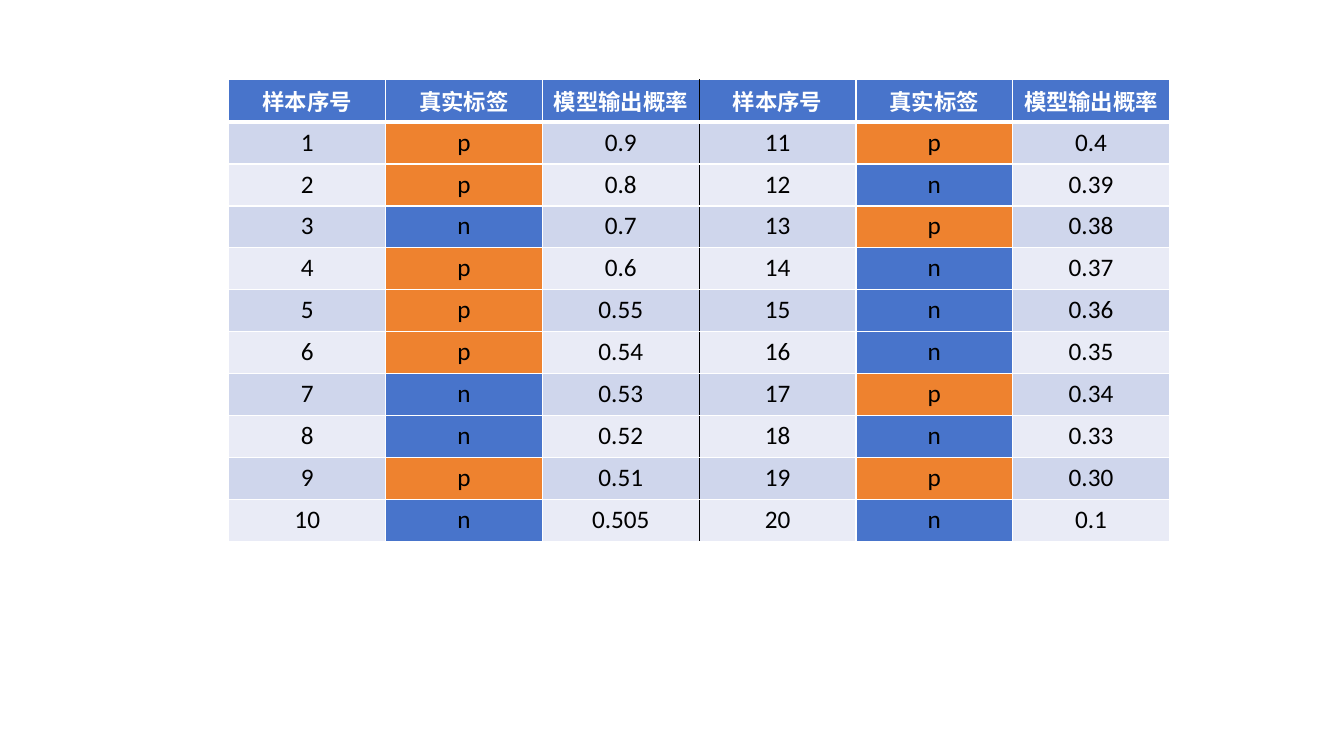
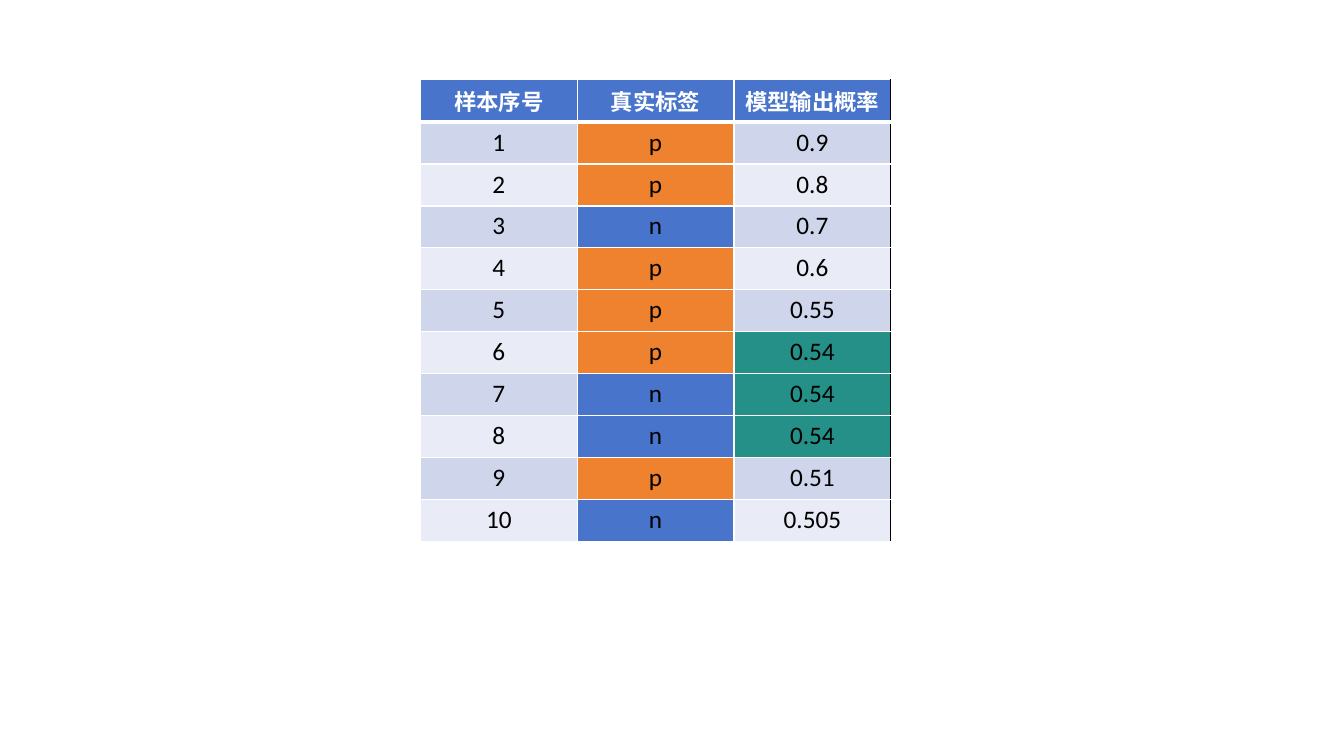
from lxml.etree import SubElement
from pptx import Presentation
from pptx.dml.color import RGBColor as RGB
from pptx.enum.text import MSO_ANCHOR as Anchor, PP_ALIGN as Align
from pptx.oxml.ns import qn
from pptx.util import Inches, Pt

COLORS = {
    "header": "4874CB", "odd": "CFD6EC", "even": "E9EBF6",
    "p": "EE822F", "n": "4874CB", "tie": "249087",
    "white": "FFFFFF", "black": "000000",
}
HEADINGS = ["样本序号", "真实标签", "模型输出概率"]
HEADER_FONT = {"name": "Calibri", "size": Pt(16), "bold": True}
BODY_FONT = {"name": "Calibri", "size": Pt(18), "bold": False}

# Shared grid
TOP = Inches(0.79)
COLUMN_WIDTH = Inches(9.33 / 6)
ROW_HEIGHT = Inches(4.58 / 11)

# Each group of three columns: first sample number, labels, probabilities
FIRST_TEN = (1, "ppnpppnnpn", "0.9 0.8 0.7 0.6 0.55 0.54 0.53 0.52 0.51 0.505")
LAST_TEN = (11, "pnpnnnpnpn", "0.4 0.39 0.38 0.37 0.36 0.35 0.34 0.33 0.30 0.1")
TIED_TEN = (1, "ppnpppnnpn", "0.9 0.8 0.7 0.6 0.55 0.54 0.54 0.54 0.51 0.505")

# Slides: left edge, groups, sample numbers with equal probability
SLIDES = [
    (2.27, [FIRST_TEN, LAST_TEN], []),
    (4.17, [TIED_TEN], ["6", "7", "8"]),
]


def draw_borders(cell, borders):
    properties = cell._tc.get_or_add_tcPr()
    for position, (side, (color, width)) in enumerate(borders.items()):
        line = SubElement(properties, qn(f"a:ln{side}"), w=str(Pt(width)))
        fill = SubElement(line, qn("a:solidFill"))
        SubElement(fill, qn("a:srgbClr"), val=COLORS[color])
        properties.insert(position, line)


def fill_cell(cell, text, fill, font_color, font_format):
    cell.text = text
    cell.fill.solid()
    cell.fill.fore_color.rgb = RGB.from_string(COLORS[fill])
    paragraph = cell.text_frame.paragraphs[0]
    paragraph.alignment = Align.CENTER
    font = paragraph.runs[0].font
    font.color.rgb = RGB.from_string(COLORS[font_color])
    for attribute, value in font_format.items():
        setattr(font, attribute, value)


deck = Presentation()
deck.slide_width, deck.slide_height = Inches(13.33), Inches(7.5)

for left, groups, tied_samples in SLIDES:
    # Sample rows, with the groups side by side
    rows = [HEADINGS * len(groups)] + [[] for _ in range(10)]
    for first, labels, probabilities in groups:
        for offset, (label, probability) in enumerate(zip(labels, probabilities.split())):
            rows[offset + 1] += [str(first + offset), label, probability]

    # Table frame
    slide = deck.slides.add_slide(deck.slide_layouts[6])
    column_count = len(rows[0])
    samples = slide.shapes.add_table(
        len(rows), column_count, Inches(left), TOP,
        COLUMN_WIDTH * column_count, ROW_HEIGHT * len(rows)).table
    for column in samples.columns:
        column.width = COLUMN_WIDTH
    for row in samples.rows:
        row.height = ROW_HEIGHT

    # Cells: header, banded rows, coloured labels and tied probabilities
    for r, texts in enumerate(rows):
        band = "odd" if r % 2 else "even"
        for c, text in enumerate(texts):
            cell = samples.cell(r, c)
            if r == 0:
                fill_cell(cell, text, "header", "white", HEADER_FONT)
                cell.vertical_anchor = Anchor.MIDDLE
            else:
                tied = c % 3 == 2 and texts[0] in tied_samples
                fill = "tie" if tied else text if text in ("p", "n") else band
                fill_cell(cell, text, fill, "black", BODY_FONT)

            # A black rule closes the first group
            draw_borders(cell, {
                "L": ("black" if c == 3 else "white", 1),
                "R": ("black" if c == 2 else "white", 1),
                "T": ("white", 3 if r == 1 else 1),
                "B": ("white", 3 if r == 0 else 1),
            })

deck.save("out.pptx")
